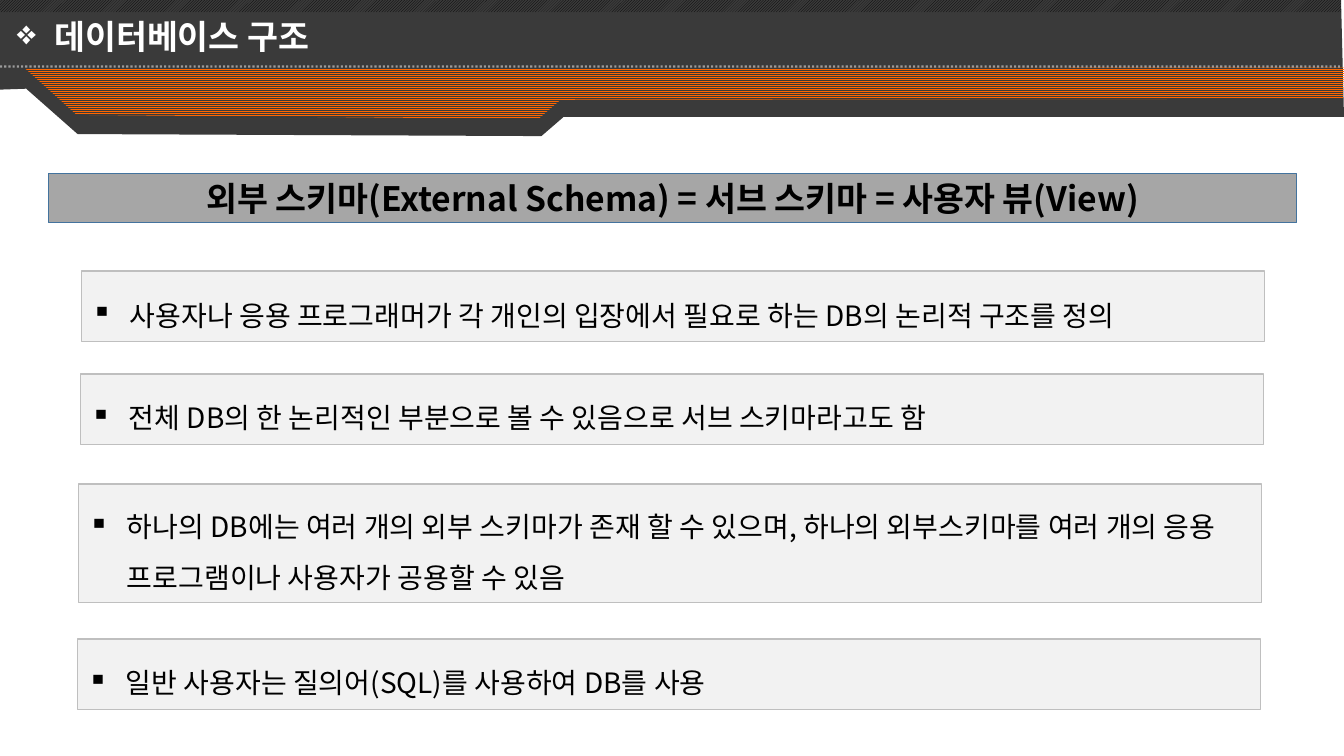
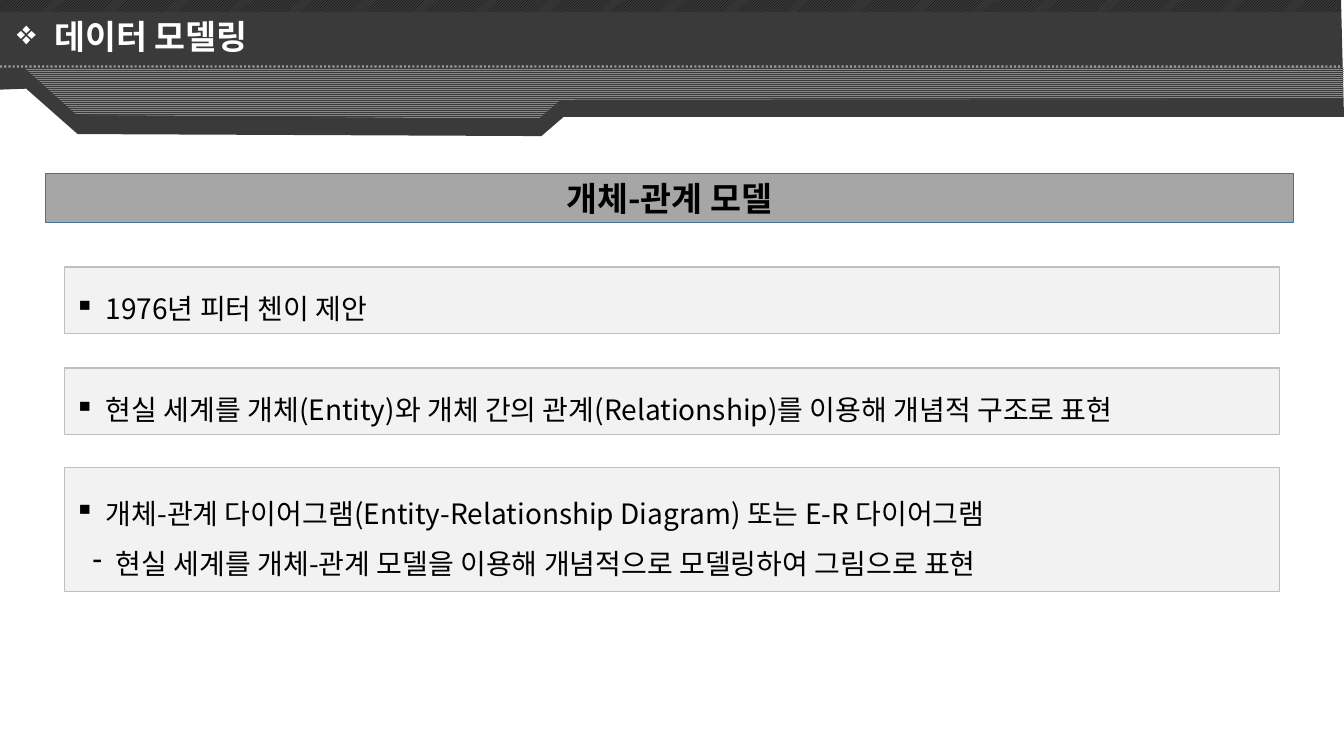
from lxml.etree import SubElement
from pptx import Presentation
from pptx.dml.color import RGBColor
from pptx.enum.dml import MSO_LINE, MSO_PATTERN
from pptx.enum.shapes import MSO_CONNECTOR, MSO_SHAPE
from pptx.enum.text import MSO_ANCHOR, PP_ALIGN
from pptx.oxml.ns import qn
from pptx.util import Inches, Pt

WIDTH, HEIGHT = 13.33, 7.5
FONT = "Noto Sans CJK KR"
DARK, ORANGE, WHITE, BLACK = "3A3A3A", "FF6600", "FFFFFF", "000000"
HEADING_FILL, HEADING_LINE = "A6A6A6", "43739E"
CARD_FILL, CARD_LINE = "F2F2F2", "BFBFBF"

BAND = [(-0.02, -0.02), (13.3, -0.03), (13.33, 1.16), (5.59, 1.16),
        (5.37, 1.35), (0.77, 1.33), (0.26, 0.88), (-0.02, 0.89)]
RIBBON = [(0.25, 0.68), (0.76, 1.14), (5.34, 1.18), (5.56, 0.99),
          (13.32, 0.98), (13.33, 0.67)]

# Each card: left, top, height, [(bullet, text), ...]
SLIDES = [
    {"title": "데이터베이스 구조",
     "heading": "외부 스키마(External Schema) = 서브 스키마 = 사용자 뷰(View)",
     "heading_left": 0.48, "card_width": 11.73, "indent": 0.38,
     "cards": [
         (0.81, 2.69, 0.7, [("▪", "사용자나 응용 프로그래머가 각 개인의 입장에서 필요로 하는 DB의 논리적 구조를 정의")]),
         (0.8, 3.71, 0.7, [("▪", "전체 DB의 한 논리적인 부분으로 볼 수 있음으로 서브 스키마라고도 함")]),
         (0.78, 4.8, 1.18, [("▪", "하나의 DB에는 여러 개의 외부 스키마가 존재 할 수 있으며, "
                                  "하나의 외부스키마를 여러 개의 응용 프로그램이나 사용자가 공용할 수 있음")]),
         (0.77, 6.34, 0.7, [("▪", "일반 사용자는 질의어(SQL)를 사용하여 DB를 사용")]),
     ]},
    {"title": "데이터 모델링",
     "heading": "개체-관계 모델",
     "heading_left": 0.45, "card_width": 12.05, "indent": 0.31,
     "cards": [
         (0.64, 2.65, 0.66, [("▪", "1976년 피터 첸이 제안")]),
         (0.64, 3.65, 0.66, [("▪", "현실 세계를 개체(Entity)와 개체 간의 관계(Relationship)를 이용해 개념적 구조로 표현")]),
         (0.64, 4.64, 1.23, [("▪", "개체-관계 다이어그램(Entity-Relationship Diagram) 또는 E-R 다이어그램"),
                             ("-", "현실 세계를 개체-관계 모델을 이용해 개념적으로 모델링하여 그림으로 표현")]),
     ]},
]


def rgb(color):
    return RGBColor.from_string(color)


def set_alpha(element, tag, percent):
    """Make the colour inside the first element named tag partly transparent."""
    color = next(element.iter(qn(tag))).find(".//" + qn("a:srgbClr"))
    SubElement(color, qn("a:alpha"), val=str(percent * 1000))


def paint(shape, fill, line=None):
    shape.shadow.inherit = False
    shape.fill.solid()
    shape.fill.fore_color.rgb = rgb(fill)
    if line:
        shape.line.color.rgb = rgb(line)
        shape.line.width = Pt(1)
    else:
        shape.line.fill.background()


def paint_hatch(shape, pattern, color):
    """Hatch a shape over whatever lies behind it."""
    shape.shadow.inherit = False
    shape.line.fill.background()
    shape.fill.patterned()
    shape.fill.pattern = pattern
    shape.fill.fore_color.rgb = rgb(color)
    shape.fill.back_color.rgb = rgb(WHITE)
    set_alpha(shape.element, "a:bgClr", 0)


def add_box(page, left, top, width, height):
    return page.shapes.add_shape(MSO_SHAPE.RECTANGLE, Inches(left), Inches(top),
                                 Inches(width), Inches(height))


def add_outline(page, points):
    start, *rest = [(Inches(x), Inches(y)) for x, y in points]
    builder = page.shapes.build_freeform(*start)
    builder.add_line_segments(rest, close=True)
    return builder.convert_to_shape()


def write(para, text, size=20, color=BLACK, bold=False, align=PP_ALIGN.LEFT,
          spacing=None, bullet=None, margin=0, hang=0, shadow=False):
    para.alignment = align
    if spacing:
        para.line_spacing = spacing
    if bullet:
        props = para._p.get_or_add_pPr()
        props.set("marL", str(Inches(margin)))
        props.set("indent", str(-Inches(hang)))
        SubElement(props, qn("a:buChar"), char=bullet)
    span = para.add_run()
    span.text = text
    span.font.size, span.font.bold = Pt(size), bold
    span.font.color.rgb = rgb(color)
    props = span._r.get_or_add_rPr()
    if shadow:
        effects = SubElement(props, qn("a:effectLst"))
        cast = SubElement(effects, qn("a:outerShdw"), blurRad="38100",
                          dist="38100", dir="2700000", algn="tl")
        SubElement(cast, qn("a:srgbClr"), val=BLACK)
    for script in ("a:latin", "a:ea"):
        SubElement(props, qn(script), typeface=FONT)


def add_banner(page, title):
    paint(add_outline(page, BAND), DARK)
    paint_hatch(add_box(page, -0.03, 0, WIDTH, 0.12),
                MSO_PATTERN.LIGHT_UPWARD_DIAGONAL, BLACK)
    paint_hatch(add_outline(page, RIBBON), MSO_PATTERN.NARROW_HORIZONTAL, ORANGE)

    dots = page.shapes.add_connector(MSO_CONNECTOR.STRAIGHT, 0, Inches(0.66),
                                     Inches(13.29), Inches(0.66))
    dots.line.color.rgb = rgb(WHITE)
    dots.line.width = Pt(1.5)
    dots.line.dash_style = MSO_LINE.ROUND_DOT
    set_alpha(dots._element, "a:ln", 50)
    SubElement(dots._element.spPr, qn("a:effectLst"))

    box = page.shapes.add_textbox(Inches(0.07), Inches(0.11), Inches(6.59), Inches(0.5))
    box.text_frame.word_wrap = True
    write(box.text_frame.paragraphs[0], title, size=24, color=WHITE, bold=True,
          bullet="❖", margin=0.37, hang=0.37, shadow=True)


def add_heading(page, left, text):
    box = add_box(page, left, 1.72, 12.38, 0.49)
    paint(box, HEADING_FILL, HEADING_LINE)
    box.text_frame.vertical_anchor = MSO_ANCHOR.MIDDLE
    write(box.text_frame.paragraphs[0], text, size=24, bold=True, align=PP_ALIGN.CENTER)


def add_card(page, left, top, width, height, items, indent):
    box = add_box(page, left, top, width, height)
    paint(box, CARD_FILL, CARD_LINE)
    frame = box.text_frame
    frame.word_wrap = True
    frame.vertical_anchor = MSO_ANCHOR.MIDDLE
    for number, (bullet, text) in enumerate(items):
        para = frame.add_paragraph() if number else frame.paragraphs[0]
        margin, hang = (0.41, 0.23) if bullet == "-" else (indent, indent)
        write(para, text, spacing=1.5, bullet=bullet, margin=margin, hang=hang)


def main():
    deck = Presentation()
    deck.slide_width, deck.slide_height = Inches(WIDTH), Inches(HEIGHT)
    for content in SLIDES:
        page = deck.slides.add_slide(deck.slide_layouts[6])
        add_banner(page, content["title"])
        add_heading(page, content["heading_left"], content["heading"])
        for left, top, height, items in content["cards"]:
            add_card(page, left, top, content["card_width"], height, items,
                     content["indent"])
    deck.save("out.pptx")


if __name__ == "__main__":
    main()
